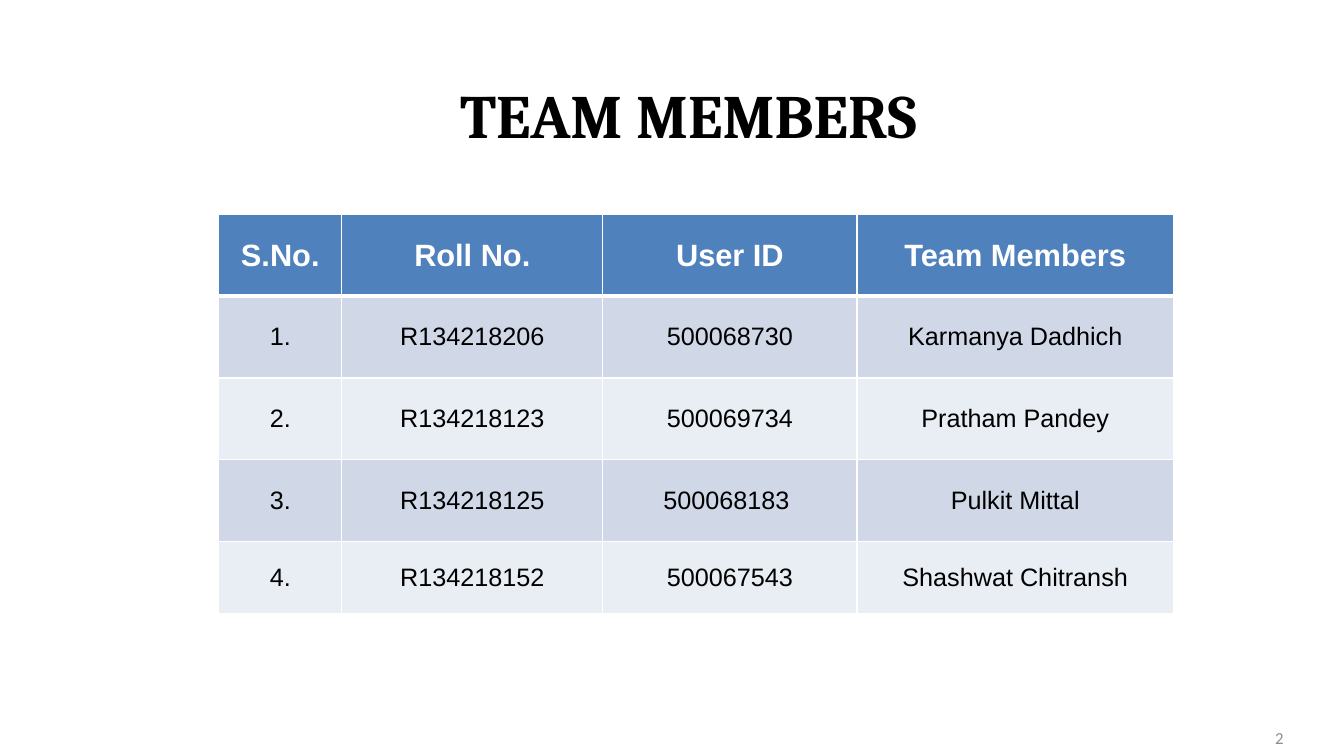
from lxml.etree import SubElement as Sub
from pptx import Presentation
from pptx.dml.color import RGBColor
from pptx.enum.text import MSO_ANCHOR as Anchor, PP_ALIGN as Align
from pptx.oxml.ns import qn
from pptx.util import Inches, Pt

BLACK = RGBColor(0x00, 0x00, 0x00)
WHITE = RGBColor(0xFF, 0xFF, 0xFF)
GRAY = RGBColor(0x8C, 0x8C, 0x8C)
BLUE = RGBColor(0x4F, 0x81, 0xBD)
BANDS = RGBColor(0xD0, 0xD8, 0xE8), RGBColor(0xE9, 0xED, 0xF4)

HEADS = "S.No.", "Roll No.", "User ID", "Team Members"
TEAM = [
    ("R134218206", "500068730", "Karmanya Dadhich"),
    ("R134218123", "500069734", "Pratham Pandey"),
    ("R134218125", "500068183 ", "Pulkit Mittal"),
    ("R134218152", "500067543", "Shashwat Chitransh"),
]
WIDTHS = 1.22, 2.59, 2.52, 3.14
HEIGHTS = 0.81, 0.81, 0.81, 0.81, 0.72


def write(frame, text, size=18, font="Arial", color=BLACK, bold=False,
          align=Align.CENTER):
    par = frame.paragraphs[0]
    par.alignment = align
    run = par.add_run()
    run.text = text
    run.font.size = Pt(size)
    run.font.name = font
    run.font.bold = bold
    run.font.color.rgb = color


class Page:
    def __init__(self, deck, face="Arial"):
        self.slide = deck.slides.add_slide(deck.slide_layouts[6])
        self.face = face

    def label(self, text, box, **form):
        frame = self.slide.shapes.add_textbox(*map(Inches, box)).text_frame
        frame.word_wrap = True
        frame.vertical_anchor = Anchor.MIDDLE
        write(frame, text, **form)

    def edge(self, cell, side, width):
        line = Sub(cell._tc.get_or_add_tcPr(), qn("a:ln" + side), w=str(Pt(width)))
        fill = Sub(line, qn("a:solidFill"))
        Sub(fill, qn("a:srgbClr"), val=str(WHITE))

    def cell(self, cell, text, fill, top=1, base=1, **form):
        for side, width in zip("LRTB", (1, 1, top, base)):
            self.edge(cell, side, width)
        cell.fill.solid()
        cell.fill.fore_color.rgb = fill
        cell.vertical_anchor = Anchor.MIDDLE
        write(cell.text_frame, text, font=self.face, **form)

    def table(self, left, top, heads, rows):
        size = sum(WIDTHS), sum(HEIGHTS)
        grid = self.slide.shapes.add_table(
            len(rows) + 1, len(heads), *map(Inches, (left, top, *size))).table
        for col, width in zip(grid.columns, WIDTHS):
            col.width = Inches(width)
        for row, height in zip(grid.rows, HEIGHTS):
            row.height = Inches(height)
        for c, text in enumerate(heads):
            self.cell(grid.cell(0, c), text, BLUE, base=3,
                      size=22, color=WHITE, bold=True)
        for r, row in enumerate(rows, 1):
            for c, text in enumerate((f"{r}.", *row)):
                self.cell(grid.cell(r, c), text, BANDS[(r - 1) % 2],
                          top=3 if r == 1 else 1)


def main():
    deck = Presentation()
    deck.slide_width, deck.slide_height = Inches(13.33), Inches(7.5)
    page = Page(deck)
    page.label("2", (9.72, 7.12, 3.11, 0.4), size=12, font="Calibri",
               color=GRAY, align=Align.RIGHT)
    page.label("TEAM MEMBERS", (0.83, 0.44, 12, 1.37), size=44,
               font="Cambria", bold=True)
    page.table(2.17, 2.13, HEADS, TEAM)
    deck.save("out.pptx")


if __name__ == "__main__":
    main()
